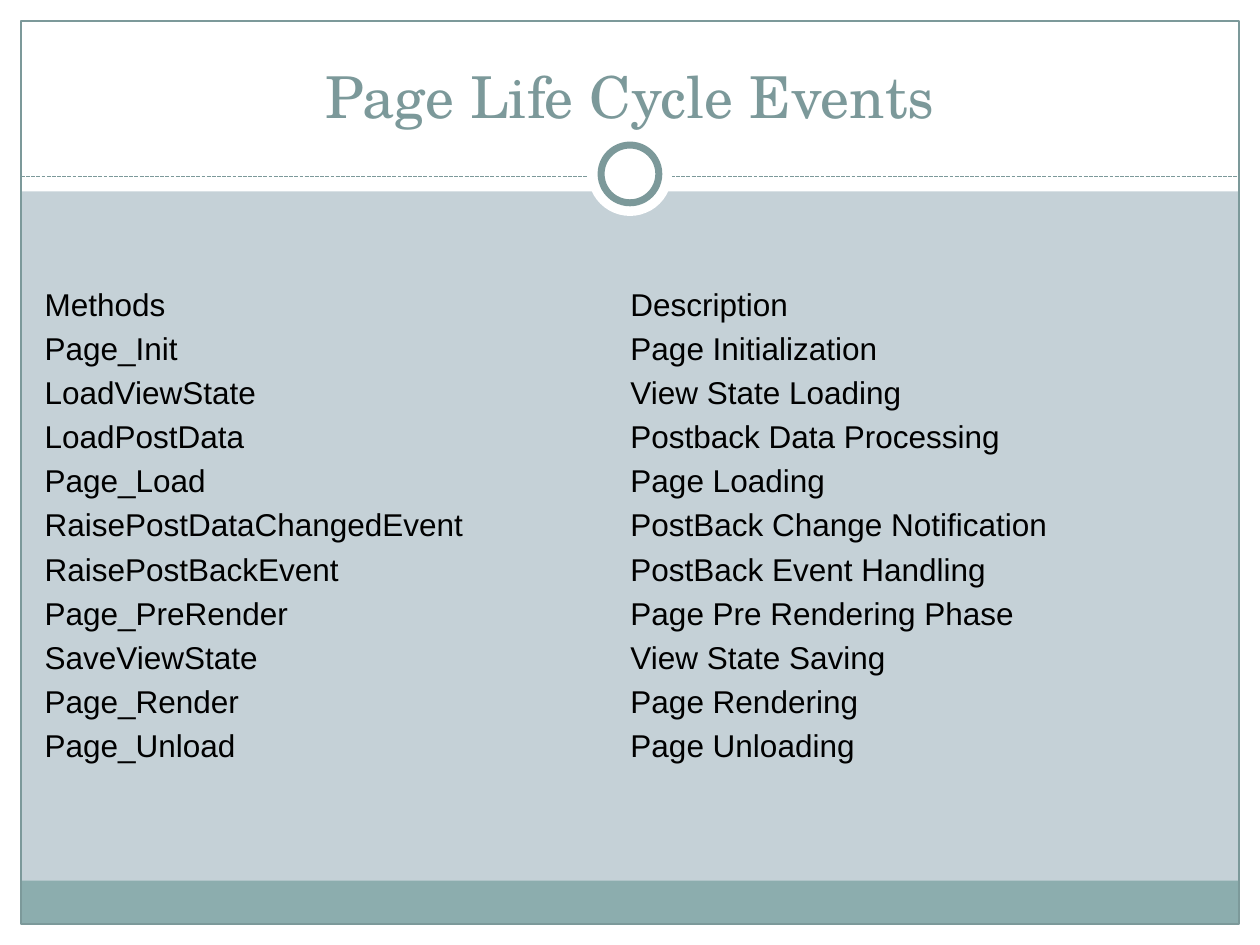
from dataclasses import dataclass

from pptx import Presentation
from pptx.dml.color import RGBColor
from pptx.enum.dml import MSO_LINE
from pptx.enum.shapes import MSO_CONNECTOR, MSO_SHAPE
from pptx.enum.text import MSO_ANCHOR, MSO_AUTO_SIZE, PP_ALIGN
from pptx.oxml.ns import qn
from pptx.util import Pt
from lxml.etree import SubElement


@dataclass(frozen=True)
class Theme:
    """Colours, fonts and type sizes of the slide."""
    back: str = "C5D1D7"
    white: str = "FFFFFF"
    accent: str = "7C999A"
    band: str = "8CADAE"
    ink: str = "000000"
    title_font: str = "TeX Gyre Schola"
    body_font: str = "Arial"
    title_size: float = 33
    body_size: float = 18
    plain_table: str = "{2D5ABB26-0587-4C30-8999-92F81FD0307C}"


THEME = Theme()
WIDTH, HEIGHT = 720, 540
MARGIN = 12
HEADER_HEIGHT = 109.4
RULE_Y = 101
RING_CENTER = (WIDTH / 2, 99.4)

EVENTS = [
    ("Methods", "Description"),
    ("Page_Init", "Page Initialization"),
    ("LoadViewState", "View State Loading"),
    ("LoadPostData", "Postback Data Processing"),
    ("Page_Load", "Page Loading"),
    ("RaisePostDataChangedEvent", "PostBack Change Notification"),
    ("RaisePostBackEvent", "PostBack Event Handling"),
    ("Page_PreRender", "Page Pre Rendering Phase"),
    ("SaveViewState", "View State Saving"),
    ("Page_Render", "Page Rendering"),
    ("Page_Unload", "Page Unloading"),
]


def rgb(value):
    """Turn a hex string into a colour."""
    return RGBColor.from_string(value)


def write(tf, text, *, font, size, color, align=PP_ALIGN.LEFT):
    """Write one formatted paragraph into a text frame."""
    p = tf.paragraphs[0]
    p.alignment = align
    r = p.add_run()
    r.text = text
    r.font.name = font
    r.font.size = Pt(size)
    r.font.bold = False
    r.font.color.rgb = rgb(color)


def add_box(s, box, *, kind=MSO_SHAPE.RECTANGLE, fill=None, line=None, weight=0.75):
    """Add a flat preset shape with an optional fill and outline."""
    sp = s.shapes.add_shape(kind, *map(Pt, box))
    sp.shadow.inherit = False
    if fill:
        sp.fill.solid()
        sp.fill.fore_color.rgb = rgb(fill)
    else:
        sp.fill.background()
    if line:
        sp.line.color.rgb = rgb(line)
        sp.line.width = Pt(weight)
    else:
        sp.line.fill.background()


def add_circle(s, center, diameter, **style):
    """Add a circle around a centre point."""
    x, y = (c - diameter / 2 for c in center)
    add_box(s, (x, y, diameter, diameter), kind=MSO_SHAPE.OVAL, **style)


def add_dashed_rule(s, x1, x2, y):
    """Add a thin dashed horizontal line."""
    rule = s.shapes.add_connector(MSO_CONNECTOR.STRAIGHT, Pt(x1), Pt(y), Pt(x2), Pt(y))
    rule.line.color.rgb = rgb(THEME.accent)
    rule.line.width = Pt(0.75)
    rule.line.dash_style = MSO_LINE.SQUARE_DOT
    SubElement(rule._element.spPr, qn("a:effectLst"))


def add_frame(s):
    """Draw the white margins, footer band, outline and header ring."""
    inner_width = WIDTH - 2 * MARGIN
    margins = [
        (0, HEIGHT - MARGIN, WIDTH, MARGIN),
        (0, 0, WIDTH, HEADER_HEIGHT),
        (0, 0, MARGIN, HEIGHT),
        (WIDTH - MARGIN, 0, MARGIN, HEIGHT),
    ]
    for box in margins:
        add_box(s, box, fill=THEME.white)
    add_box(s, (MARGIN, 503.3, inner_width, 24.5), fill=THEME.band)
    add_box(s, (MARGIN, MARGIN, inner_width, HEIGHT - 2 * MARGIN), line=THEME.accent)
    add_dashed_rule(s, MARGIN, WIDTH - MARGIN, RULE_Y)
    add_circle(s, RING_CENTER, 48, fill=THEME.white)
    add_circle(s, RING_CENTER, 33, fill=THEME.white, line=THEME.accent, weight=4)


def set_title(s, text):
    """Fill the title placeholder and bring it in front of the frame."""
    title = s.shapes.title
    title.left, title.top, title.width, title.height = map(Pt, (24, 18, 672, 60))
    tf = title.text_frame
    tf.word_wrap = True
    tf.auto_size = MSO_AUTO_SIZE.NONE
    tf.vertical_anchor = MSO_ANCHOR.BOTTOM
    write(tf, text, font=THEME.title_font, size=THEME.title_size,
          color=THEME.accent, align=PP_ALIGN.CENTER)
    s.shapes._spTree.append(title._element)


def add_event_table(s, rows, *, left, top, col_width, row_height):
    """Add a plain table without borders or banding."""
    cols = len(rows[0])
    frame = s.shapes.add_table(len(rows), cols, Pt(left), Pt(top),
                               Pt(col_width * cols), Pt(row_height * len(rows)))
    table = frame.table
    table.first_row = table.horz_banding = False
    table._tbl.tblPr.find(qn("a:tableStyleId")).text = THEME.plain_table
    for i, row in enumerate(rows):
        table.rows[i].height = Pt(row_height)
        for j, text in enumerate(row):
            cell = table.cell(i, j)
            cell.fill.background()
            cell.vertical_anchor = MSO_ANCHOR.MIDDLE
            cell.margin_left = cell.margin_right = Pt(1.5)
            cell.margin_top = cell.margin_bottom = Pt(1.5)
            write(cell.text_frame, text, font=THEME.body_font,
                  size=THEME.body_size, color=THEME.ink)


def main():
    """Build the slide and save it."""
    prs = Presentation()
    prs.slide_width, prs.slide_height = Pt(WIDTH), Pt(HEIGHT)
    s = prs.slides.add_slide(prs.slide_layouts[5])
    s.background.fill.solid()
    s.background.fill.fore_color.rgb = rgb(THEME.back)
    add_frame(s)
    set_title(s, "Page Life Cycle Events")
    add_event_table(s, EVENTS, left=24, top=162, col_width=334.8, row_height=25.2)
    prs.save("out.pptx")


if __name__ == "__main__":
    main()
